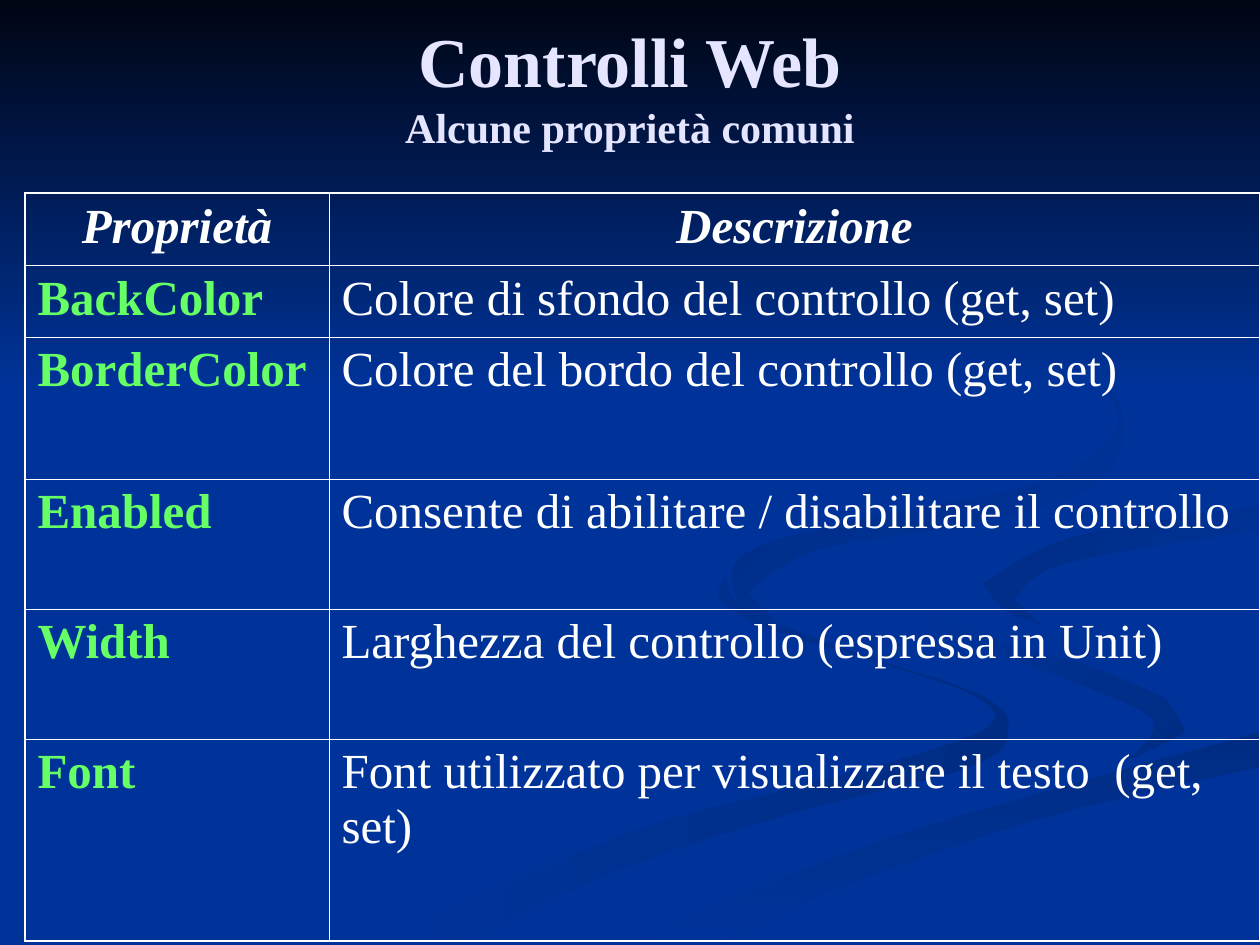
import pptx
import pptx.util
import pptx.dml.color
import pptx.enum.shapes
import pptx.enum.text
import pptx.oxml
import pptx.oxml.ns

RGB = pptx.dml.color.RGBColor
ALIGN = pptx.enum.text.PP_ALIGN
ANCHOR = pptx.enum.text.MSO_ANCHOR
PIXEL = 914400 // 126
FONT = "Times New Roman"
BLUE = RGB(0x00, 0x33, 0x99)
SHADE = RGB(0x00, 0x2C, 0x84)
NIGHT = RGB(0x00, 0x05, 0x14)
WHITE = RGB(0xFF, 0xFF, 0xFF)
GREEN = RGB(0x66, 0xFF, 0x66)
LILAC = RGB(0xE5, 0xE5, 0xFF)

SKY_HEIGHT = 388
TITLE_BOX = (63, 6, 1134, 158)
TITLE = [("Controlli Web", 40), ("Alcune proprietà comuni", 24)]
TABLE_CORNER = (25, 193)
COLUMNS = [304, 931]
HEIGHTS = [72, 72, 142, 130, 130, 202]
ROWS = [
    ("Proprietà", "Descrizione"),
    ("BackColor", "Colore di sfondo del controllo (get, set)"),
    ("BorderColor", "Colore del bordo del controllo (get, set)"),
    ("Enabled", "Consente di abilitare / disabilitare il controllo"),
    ("Width", "Larghezza del controllo (espressa in Unit)"),
    ("Font", "Font utilizzato per visualizzare il testo  (get, set)"),
]
HEADER = {"bold": True, "italic": True}
NAME = {"bold": True, "italic": False}
DESCRIPTION = {"bold": False, "italic": False}

CURVE_STEPS = 5
SEAM = [(634, 944), (794, 873), (963, 815), (1259, 732)]
BEND = [(984, 583), (1071, 538), (1259, 507)]
RIBBONS = [
    (BLUE, SHADE, 0, [
        [(725, 578), (721, 600), (770, 629), (878, 662), (984, 701), (975, 735),
         (822, 781), (629, 833), (378, 944)],
        [(455, 944), (629, 866), (785, 815), (969, 767), (1008, 732), (984, 697),
         (859, 654), (748, 611), (725, 578)]]),
    (BLUE, SHADE, 45, [
        [(912, 585), (940, 630), (1056, 675), (1153, 719), (1126, 762)],
        [(1186, 732), (1140, 680), (998, 641), (912, 585)]]),
    (SHADE, BLUE, 90, [SEAM, [(1259, 767), (1034, 820), (818, 895), (719, 944)]]),
    (BLUE, BLUE, 0, [
        [(914, 585), (956, 627), (1097, 668), (1188, 718), (1124, 762), (887, 825), (601, 944)],
        SEAM,
        [(1259, 678), (1068, 634), (984, 583)],
        BEND,
        [(1259, 488), (1072, 518), (935, 553), (914, 585)]]),
    (SHADE, BLUE, 45, [
        [(984, 583), (1004, 609), (1041, 625)],
        [(1014, 600), (1062, 564), (1259, 529)],
        BEND[::-1]]),
    (SHADE, BLUE, 45, [
        [(960, 294), (1066, 352), (1120, 422), (1046, 481), (852, 522), (742, 556),
         (743, 610), (784, 630)],
        [(747, 592), (818, 549), (990, 519), (1104, 476), (1109, 387), (960, 294)]]),
]


def pixels(*lengths):
    return [length * PIXEL for length in lengths]


def blend(before, start, end, after, t):
    return round(start + 0.5 * t * (
        end - before
        + t * (2 * before - 5 * start + 4 * end - after)
        + t * t * (3 * (start - end) + after - before)))


def smooth(edge):
    padded = [edge[0], *edge, edge[-1]]
    curve = []
    for group in zip(padded, padded[1:], padded[2:], padded[3:]):
        for step in range(CURVE_STEPS):
            curve.append(tuple(blend(*axis, step / CURVE_STEPS) for axis in zip(*group)))
    return curve + [edge[-1]]


def paint(shape, start, end, angle):
    shape.shadow.inherit = False
    shape.line.fill.background()
    if start == end:
        shape.fill.solid()
        shape.fill.fore_color.rgb = start
        return
    shape.fill.gradient()
    shape.fill.gradient_angle = (360 - angle) % 360
    for stop, color, position in zip(shape.fill.gradient_stops, (start, end), (0, 1)):
        stop.color.rgb = color
        stop.position = position


def add_span(para, text, size, color, **formats):
    span = para.add_run()
    span.text = text
    for key, value in {"name": FONT, "size": pptx.util.Pt(size), **formats}.items():
        setattr(span.font, key, value)
    span.font.color.rgb = color


def add_borders(cell, outer_sides):
    properties = cell._tc.get_or_add_tcPr()
    for index, side in enumerate(("lnL", "lnR", "lnT", "lnB")):
        width = pptx.util.Pt(1.08 if side in outer_sides else 0.45)
        line = pptx.oxml.parse_xml(
            f'<a:{side} {pptx.oxml.ns.nsdecls("a")} w="{int(width)}">'
            f'<a:solidFill><a:srgbClr val="{WHITE}"/></a:solidFill></a:{side}>')
        properties.insert(index, line)


deck = pptx.Presentation()
deck.slide_width, deck.slide_height = pixels(1260, 945)
page = deck.slides.add_slide(deck.slide_layouts[6])
page.background.fill.solid()
page.background.fill.fore_color.rgb = BLUE

for start, end, angle, edges in RIBBONS:
    points = [point for edge in edges for point in smooth(edge)]
    outline = page.shapes.build_freeform(*points[0], scale=PIXEL)
    outline.add_line_segments(points[1:], close=True)
    paint(outline.convert_to_shape(), start, end, angle)

sky = page.shapes.add_shape(pptx.enum.shapes.MSO_SHAPE.RECTANGLE, *pixels(0, 0, 1260, SKY_HEIGHT))
paint(sky, NIGHT, BLUE, 90)

title = page.shapes.add_textbox(*pixels(*TITLE_BOX))
title.text_frame.word_wrap = True
title.text_frame.vertical_anchor = ANCHOR.MIDDLE
para = title.text_frame.paragraphs[0]
para.alignment = ALIGN.CENTER
for index, (text, size) in enumerate(TITLE):
    if index:
        para.add_line_break()
    add_span(para, text, size, LILAC, bold=True)

frame = page.shapes.add_table(
    len(ROWS), len(COLUMNS), *pixels(*TABLE_CORNER, sum(COLUMNS), sum(HEIGHTS)))
table = frame.table
for column, width in zip(table.columns, COLUMNS):
    column.width = width * PIXEL
for row, height in zip(table.rows, HEIGHTS):
    row.height = height * PIXEL
for row, texts in enumerate(ROWS):
    for column, text in enumerate(texts):
        cell = table.cell(row, column)
        cell.fill.background()
        para = cell.text_frame.paragraphs[0]
        para.space_before = pptx.util.Pt(7)
        para.alignment = ALIGN.LEFT if row else ALIGN.CENTER
        formats = HEADER if row == 0 else (NAME, DESCRIPTION)[column]
        add_span(para, text, 28, GREEN if row and column == 0 else WHITE, **formats)
        outer_sides = {("lnL", "lnR")[column]}
        if row == 0:
            outer_sides.add("lnT")
        if row == len(ROWS) - 1:
            outer_sides.add("lnB")
        add_borders(cell, outer_sides)

deck.save("out.pptx")
